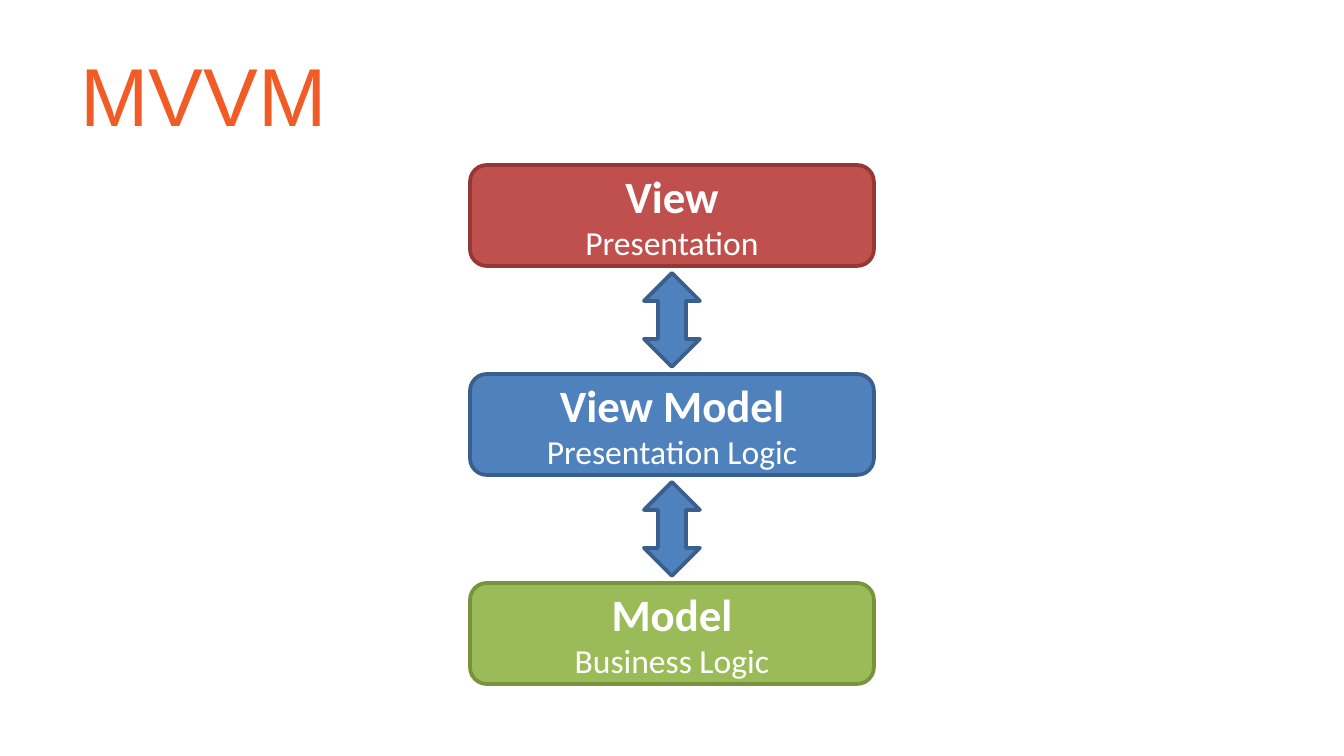
from dataclasses import dataclass

from pptx import Presentation
from pptx.dml.color import RGBColor
from pptx.enum.shapes import MSO_SHAPE
from pptx.enum.text import MSO_ANCHOR, PP_ALIGN
from pptx.util import Emu, Pt

PAGE_WIDTH, PAGE_HEIGHT = 1344, 756
EMU_PER_PX = 9144000 / PAGE_WIDTH

ORANGE = RGBColor(0xF1, 0x5B, 0x26)
WHITE = RGBColor(0xFF, 0xFF, 0xFF)
RED = RGBColor(0xC0, 0x50, 0x4D)
DARK_RED = RGBColor(0x95, 0x37, 0x35)
BLUE = RGBColor(0x4F, 0x81, 0xBD)
DARK_BLUE = RGBColor(0x3A, 0x5F, 0x8C)
GREEN = RGBColor(0x9B, 0xBB, 0x59)
DARK_GREEN = RGBColor(0x77, 0x93, 0x3C)

LAYER_TOP, LAYER_WIDTH, LAYER_HEIGHT = 165, 404, 101
LAYER_PITCH = 209
ARROW_WIDTH, ARROW_GAP = 56, 7
ARROW_HEIGHT = LAYER_PITCH - LAYER_HEIGHT - 2 * ARROW_GAP


@dataclass(frozen=True)
class Layer:
    name: str
    role: str
    fill: RGBColor
    outline: RGBColor


LAYERS = [
    Layer("View", "Presentation", RED, DARK_RED),
    Layer("View Model", "Presentation Logic", BLUE, DARK_BLUE),
    Layer("Model", "Business Logic", GREEN, DARK_GREEN),
]


def px(length: int) -> Emu:
    return Emu(round(length * EMU_PER_PX))


def write(para, text: str, *, size: int, color: RGBColor, font: str = "Calibri",
          bold: bool = False, align=PP_ALIGN.CENTER) -> None:
    para.alignment = align
    span = para.add_run()
    span.text = text
    span.font.name = font
    span.font.size = Pt(size)
    span.font.bold = bold
    span.font.color.rgb = color


def add_centred_shape(page, kind, top: int, width: int, height: int,
                      fill: RGBColor, outline: RGBColor):
    """Add a filled, outlined shape centred across the page."""
    shape = page.shapes.add_shape(
        kind, px((PAGE_WIDTH - width) // 2), px(top), px(width), px(height))
    shape.shadow.inherit = False
    shape.fill.solid()
    shape.fill.fore_color.rgb = fill
    shape.line.color.rgb = outline
    shape.line.width = Pt(2)
    return shape


def add_title(page, text: str) -> None:
    title = page.shapes.title
    title.left, title.top = px(67), px(31)
    title.width, title.height = px(1210), px(126)
    title.text_frame.vertical_anchor = MSO_ANCHOR.MIDDLE
    write(title.text_frame.paragraphs[0], text, size=44, color=ORANGE,
          font="Arial", align=PP_ALIGN.LEFT)


def add_layer(page, layer: Layer, top: int) -> None:
    box = add_centred_shape(page, MSO_SHAPE.ROUNDED_RECTANGLE, top, LAYER_WIDTH,
                            LAYER_HEIGHT, layer.fill, layer.outline)
    frame = box.text_frame
    frame.word_wrap = True
    frame.vertical_anchor = MSO_ANCHOR.MIDDLE
    write(frame.paragraphs[0], layer.name, size=24, color=WHITE, bold=True)
    write(frame.add_paragraph(), layer.role, size=18, color=WHITE)


def main() -> None:
    deck = Presentation()
    deck.slide_width, deck.slide_height = px(PAGE_WIDTH), px(PAGE_HEIGHT)
    page = deck.slides.add_slide(deck.slide_layouts.get_by_name("Title Only"))
    add_title(page, "MVVM")

    tops = [LAYER_TOP + index * LAYER_PITCH for index in range(len(LAYERS))]
    for layer, top in zip(LAYERS, tops):
        add_layer(page, layer, top)
    for top in tops[:-1]:
        add_centred_shape(page, MSO_SHAPE.UP_DOWN_ARROW,
                          top + LAYER_HEIGHT + ARROW_GAP,
                          ARROW_WIDTH, ARROW_HEIGHT, BLUE, DARK_BLUE)
    deck.save("out.pptx")


if __name__ == "__main__":
    main()
